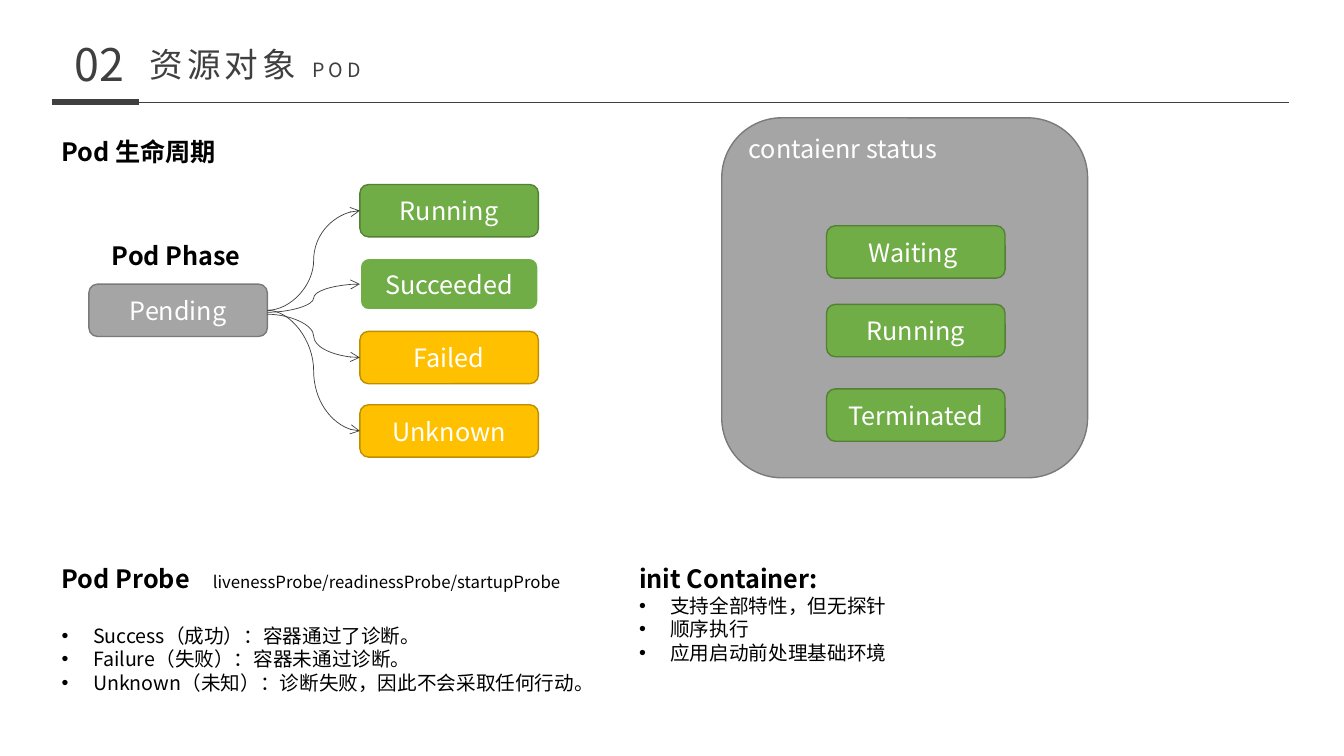
"""Build the Pod resource slide: life cycle, container status, probes and init containers."""
from dataclasses import dataclass

from lxml.etree import SubElement
from pptx import Presentation
from pptx.dml.color import RGBColor
from pptx.enum.shapes import MSO_CONNECTOR, MSO_SHAPE
from pptx.enum.text import MSO_ANCHOR, MSO_AUTO_SIZE, PP_ALIGN
from pptx.oxml.ns import qn
from pptx.util import Cm, Pt


@dataclass(frozen=True)
class Theme:
    """Colours, type sizes and line widths."""
    font: str = "Noto Sans CJK SC"
    ink: str = "3F3F3F"
    black: str = "000000"
    white: str = "FFFFFF"
    grey: tuple = ("A5A5A5", "7A7A7A", 1)
    green: tuple = ("70AD47", "538035", 1)
    outlined: tuple = ("70AD47", "FFFFFF", 1.5)
    amber: tuple = ("FFC000", "BD8E00", 1)
    number: int = 32
    title: int = 24
    heading: int = 18
    item: int = 14
    note: int = 12
    thin: float = 0.5
    thick: float = 4.5


THEME = Theme()

SECTION = "02"
TITLE = ("资源对象 ", "POD")
HEADINGS = [
    ("Pod 生命周期", (1.3, 3.3, 16.13, 1.02), THEME.black, True),
    ("Pod Phase", (2.57, 5.94, 4.2, 1.02), THEME.black, True),
    ("contaienr status", (18.62, 3.23, 8, 1.02), THEME.white, False),
]
START = "Pending"
PHASES = [
    ("Running", THEME.green, 0),
    ("Succeeded", THEME.outlined, 0.05),
    ("Failed", THEME.amber, 0.1),
    ("Unknown", THEME.amber, 0),
]
STATUSES = [("Waiting ", 5.69), ("Running", 7.67), ("Terminated", 9.8)]
LISTS = [
    ("Pod Probe", "livenessProbe/readinessProbe/startupProbe", 21.5, (1.3, 14.07, 14.07, 3.58), [
        "Success（成功）：容器通过了诊断。",
        "Failure（失败）：容器未通过诊断。",
        "Unknown（未知）：诊断失败，因此不会采取任何行动。",
    ]),
    ("init Container:", "", 0, (15.85, 14.07, 16.13, 2.82), [
        "支持全部特性，但无探针",
        "顺序执行",
        "应用启动前处理基础环境",
    ]),
]

NODE_WIDTH, NODE_HEIGHT = 4.5, 1.32
START_LEFT, START_TOP = 2.24, 7.16
PHASE_LEFT, PHASE_TOP, PHASE_PITCH = 9.07, 4.65, 1.85
STATUS_LEFT = 20.83
CONTAINER = (18.19, 2.97, 9.22, 9.07)
RULE_TOP, RULE_STOPS = 2.57, (1.3, 3.51, 32.49)
INDENT, NOTE_TAB = 0.79, 3.78


def apply(target, formats):
    for attribute, value in formats.items():
        setattr(target, attribute, value)


def lengths(values):
    return [Cm(value) for value in values]


def write(paragraph, text, size, color, bold=False, spacing=0):
    run = paragraph.add_run()
    run.text = text
    apply(run.font, {"size": Pt(size), "bold": bold, "name": THEME.font})
    run.font.color.rgb = RGBColor.from_string(color)
    properties = run._r.get_or_add_rPr()
    if spacing:
        properties.set("spc", str(spacing * 100))
    SubElement(properties, qn("a:ea"), typeface=THEME.font)


def add_label(slide, text, place, size, color, bold=False, align=PP_ALIGN.LEFT):
    frame = slide.shapes.add_textbox(*lengths(place)).text_frame
    frame.word_wrap = True
    frame.paragraphs[0].alignment = align
    write(frame.paragraphs[0], text, size, color, bold)


def add_node(slide, text, place, style):
    node = slide.shapes.add_shape(MSO_SHAPE.ROUNDED_RECTANGLE, *lengths(place))
    fill, edge, width = style
    node.shadow.inherit = False
    node.fill.solid()
    node.fill.fore_color.rgb = RGBColor.from_string(fill)
    node.line.color.rgb = RGBColor.from_string(edge)
    node.line.width = Pt(width)
    if text:
        apply(node.text_frame, {"vertical_anchor": MSO_ANCHOR.MIDDLE, "word_wrap": True})
        node.text_frame.paragraphs[0].alignment = PP_ALIGN.CENTER
        write(node.text_frame.paragraphs[0], text, THEME.heading, THEME.white)
    return node


def add_line(slide, kind, ends, width, arrow=False):
    line = slide.shapes.add_connector(kind, *lengths(ends))
    line.line.color.rgb = RGBColor.from_string(THEME.ink)
    line.line.width = Pt(width)
    properties = line._element.spPr
    if arrow:
        SubElement(properties.find(qn("a:ln")), qn("a:tailEnd"), type="arrow")
    SubElement(properties, qn("a:effectLst"))
    return line


def set_indent(paragraph, bullet):
    properties = paragraph._p.get_or_add_pPr()
    indent = Cm(INDENT) if bullet else 0
    properties.set("marL", str(indent))
    properties.set("indent", str(-indent))
    if bullet:
        SubElement(properties, qn("a:buFont"), typeface="Arial")
        SubElement(properties, qn("a:buChar"), char="•")
    else:
        SubElement(properties, qn("a:buNone"))
        tabs = SubElement(properties, qn("a:tabLst"))
        SubElement(tabs, qn("a:tab"), pos=str(Cm(NOTE_TAB)), algn="l")


def place_placeholder(holder, place):
    apply(holder, dict(zip(("left", "top", "width", "height"), lengths(place))))
    frame = holder.text_frame
    apply(frame, {"auto_size": MSO_AUTO_SIZE.NONE, "word_wrap": True,
                  "vertical_anchor": MSO_ANCHOR.TOP})
    return frame


def fill_list(holder, heading, note, gap, place, items):
    frame = place_placeholder(holder, place)
    first = frame.paragraphs[0]
    set_indent(first, bullet=False)
    first.space_before = Pt(0)
    write(first, heading, THEME.heading, THEME.black, True)
    if note:
        write(first, "\t" + note, THEME.note, THEME.black)
    for index, item in enumerate(items):
        paragraph = frame.add_paragraph()
        set_indent(paragraph, bullet=True)
        paragraph.space_before = Pt(0 if index else gap)
        write(paragraph, item, THEME.item, THEME.black)


def main():
    deck = Presentation()
    apply(deck, {"slide_width": Cm(33.87), "slide_height": Cm(19.05)})
    slide = deck.slides.add_slide(deck.slide_layouts[3])
    title, *bodies = slide.placeholders

    for left, right, width in zip(RULE_STOPS, RULE_STOPS[1:], (THEME.thick, THEME.thin)):
        add_line(slide, MSO_CONNECTOR.STRAIGHT, (left, RULE_TOP, right, RULE_TOP), width)
    title_line = place_placeholder(title, (3.51, 0.97, 11.38, 1.27)).paragraphs[0]
    title_line.alignment = PP_ALIGN.LEFT
    for text, size in zip(TITLE, (THEME.title, THEME.item)):
        write(title_line, text, size, THEME.ink, spacing=3)
    add_label(slide, SECTION, (0.81, 0.79, 3.38, 1.63), THEME.number, THEME.ink,
              align=PP_ALIGN.CENTER)

    start = add_node(slide, START, (START_LEFT, START_TOP, NODE_WIDTH, NODE_HEIGHT), THEME.grey)
    exit_left, exit_top = START_LEFT + NODE_WIDTH, START_TOP + NODE_HEIGHT / 2
    for index, (text, style, offset) in enumerate(PHASES):
        top = PHASE_TOP + index * PHASE_PITCH
        phase = add_node(slide, text, (PHASE_LEFT, top, NODE_WIDTH, NODE_HEIGHT), style)
        ends = (exit_left, exit_top + offset, PHASE_LEFT, top + NODE_HEIGHT / 2)
        arrow = add_line(slide, MSO_CONNECTOR.CURVE, ends, THEME.thin, arrow=True)
        if not offset:
            arrow.begin_connect(start, 3)
        arrow.end_connect(phase, 1)

    add_node(slide, "", CONTAINER, THEME.grey)
    for text, top in STATUSES:
        add_node(slide, text, (STATUS_LEFT, top, NODE_WIDTH, NODE_HEIGHT), THEME.green)
    for text, place, color, bold in HEADINGS:
        add_label(slide, text, place, THEME.heading, color, bold)
    for body, content in zip(bodies, LISTS):
        fill_list(body, *content)

    deck.save("out.pptx")


if __name__ == "__main__":
    main()
